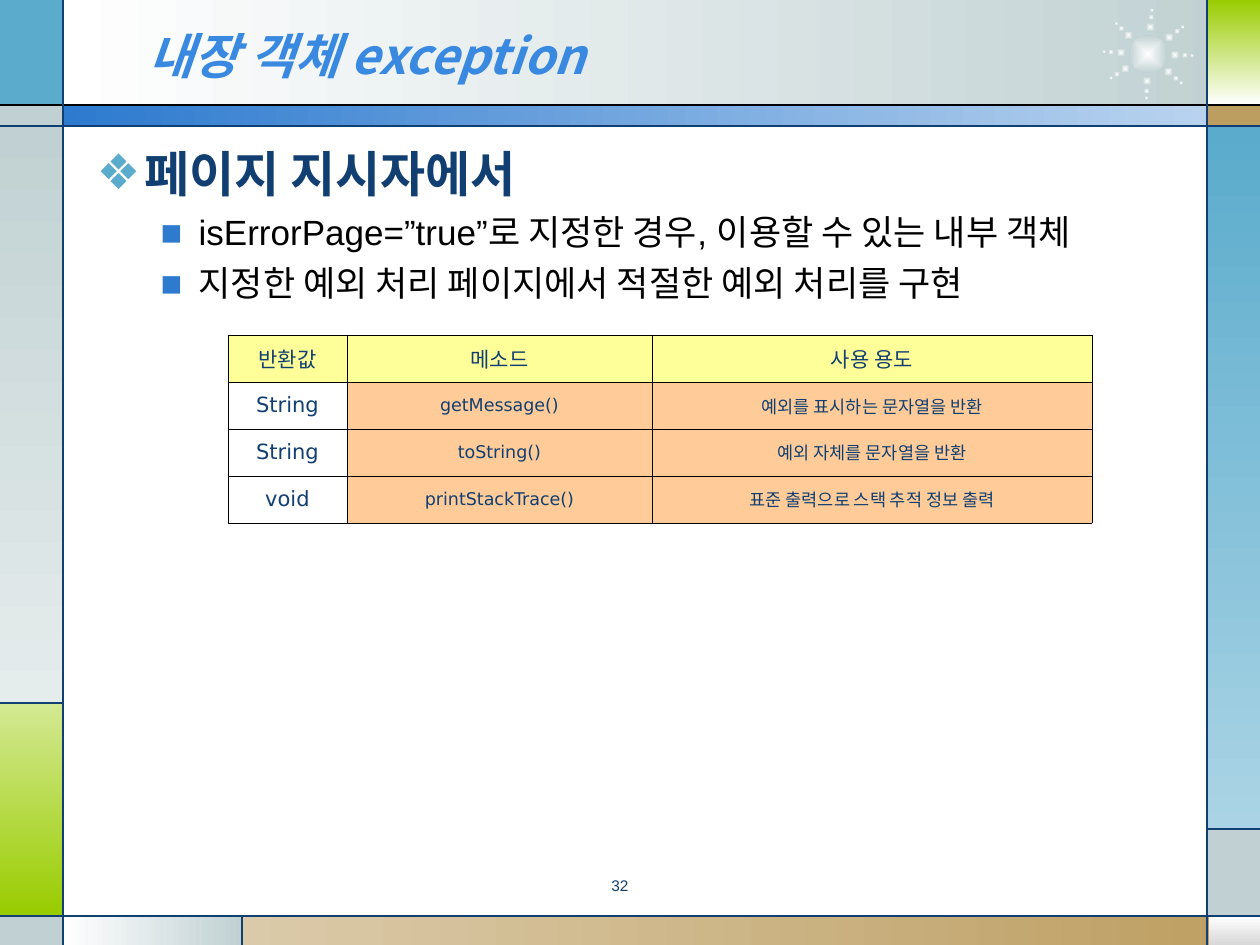
from math import cos, radians, sin

from lxml.etree import SubElement
from pptx import Presentation
from pptx.dml.color import RGBColor
from pptx.enum.shapes import MSO_CONNECTOR, MSO_SHAPE
from pptx.enum.text import MSO_ANCHOR, PP_ALIGN
from pptx.oxml.ns import qn
from pptx.util import Emu, Pt

KOREAN, LATIN, TABLE_FONT = "Noto Sans CJK KR", "Arial", "DejaVu Sans"
NAVY, GRAY, SKY, GREEN, TAN = "113F71", "C1D1D3", "5AABCC", "99CC00", "BD9E61"
WHITE, BLACK = "FFFFFF", "000000"
YELLOW, PEACH = "FFFF99", "FFCC99"
ACROSS, DOWN = 0, 270

TITLE = "내장 객체 exception"
TITLE_FONT = {"size": 28, "color": "3989E1", "name": KOREAN, "bold": True, "italic": True}
HEADING_FONT = {"size": 28, "color": NAVY, "name": KOREAN, "bold": True}
ITEM_FONT = {"size": 20, "color": BLACK, "name": LATIN, "bold": False}
HEADING = {"level": 0, "font": HEADING_FONT, "bullet": "❖", "bullet_color": SKY,
           "margin": 48, "hanging": 48}
ITEM = {"level": 1, "font": ITEM_FONT, "bullet": "▪", "bullet_color": "2D7ACF",
        "margin": 102, "hanging": 39}
BODY = [
    ("페이지 지시자에서", HEADING),
    ("isErrorPage=”true”로 지정한 경우, 이용할 수 있는 내부 객체", ITEM),
    ("지정한 예외 처리 페이지에서 적절한 예외 처리를 구현", ITEM),
]
PAGE_NUMBER = "32"
METHODS = [
    ("반환값", "메소드", "사용 용도"),
    ("String", "getMessage()", "예외를 표시하는 문자열을 반환"),
    ("String", "toString()", "예외 자체를 문자열을 반환"),
    ("void", "printStackTrace()", "표준 출력으로 스택 추적 정보 출력"),
]
COLUMN_WIDTHS = (119, 305, 440)
ROW_HEIGHT = 47

BANDS = [
    ((63, 0, 1168, 105), (WHITE, GRAY), ACROSS),
    ((0, 0, 63, 105), (SKY,), None),
    ((0, 105, 63, 21), (GRAY,), None),
    ((0, 126, 63, 577), (GRAY, "E5ECEC"), DOWN),
    ((0, 703, 63, 213), ("D4E993", GREEN), DOWN),
    ((0, 916, 63, 29), (GRAY,), None),
    ((63, 916, 179, 29), (WHITE, GRAY), ACROSS),
    ((242, 916, 1018, 29), ("DBCAA9", TAN), ACROSS),
    ((1209, 916, 51, 29), (WHITE, "D8D8D8"), DOWN),
    ((1208, 829, 52, 87), (GRAY,), None),
    ((1207, 126, 53, 703), (SKY, "AAD4E5"), DOWN),
    ((1207, 105, 53, 21), (TAN,), None),
    ((1208, 0, 52, 105), (GREEN, WHITE), DOWN),
    ((63, 105, 1145, 21), ("2D7ACF", "B9D3EF"), ACROSS),
]
RULES = [
    ((0, 105, 1260, 105), BLACK),
    ((0, 126, 1260, 126), NAVY),
    ((0, 916, 1260, 916), NAVY),
    ((63, 0, 63, 945), NAVY),
    ((1207, 0, 1207, 945), NAVY),
    ((63, 703, 0, 703), NAVY),
    ((242, 916, 242, 945), NAVY),
    ((1207, 829, 1260, 829), NAVY),
]
BURST_CENTER, BURST_CORE = (1148, 54), 38
RAY_ANGLES = (2, 41, 92, 147, 183, 224, 275, 322)
RAY_DOTS = ((37, 6), (44, 4), (27, 9))


def px(length):
    return Emu(round(length * 914400 / 126))


def color(value):
    return RGBColor.from_string(value)


def place(box, frame):
    for name, length in zip(("left", "top", "width", "height"), frame):
        setattr(box, name, px(length))


def add_band(page, kind, frame, colors, angle):
    band = page.shapes.add_shape(kind, *map(px, frame))
    band.shadow.inherit = False
    band.line.fill.background()
    if len(colors) == 1:
        band.fill.solid()
        band.fill.fore_color.rgb = color(colors[0])
        return band
    band.fill.gradient()
    band.fill.gradient_angle = angle
    for stop, value, position in zip(band.fill.gradient_stops, colors, (0, 1)):
        stop.color.rgb = color(value)
        stop.position = position
    return band


def add_glow(page, x, y, size):
    frame = (x - size / 2, y - size / 2, size, size)
    dot = add_band(page, MSO_SHAPE.OVAL, frame, (WHITE, GRAY), ACROSS)
    gradient = dot._element.spPr.find(qn("a:gradFill"))
    gradient.remove(gradient.find(qn("a:lin")))
    shade = SubElement(gradient, qn("a:path"), {"path": "rect"})
    SubElement(shade, qn("a:fillToRect"), dict.fromkeys("ltrb", "50000"))


def add_burst(page):
    x, y = BURST_CENTER
    add_glow(page, x, y, BURST_CORE)
    for angle in map(radians, RAY_ANGLES):
        for radius, size in RAY_DOTS:
            add_glow(page, x + radius * cos(angle), y + radius * sin(angle), size)


def add_rule(page, ends, value):
    rule = page.shapes.add_connector(MSO_CONNECTOR.STRAIGHT, *map(px, ends))
    rule.line.color.rgb = color(value)
    rule.line.width = Pt(0.75)
    SubElement(rule._element.spPr, qn("a:effectLst"))


def write(para, text, style):
    span = para.add_run()
    span.text = text
    for name, value in style.items():
        if name == "color":
            span.font.color.rgb = color(value)
        else:
            setattr(span.font, name, Pt(value) if name == "size" else value)
    SubElement(span._r.get_or_add_rPr(), qn("a:ea"), {"typeface": KOREAN})


def add_bullet(para, style):
    props = para._p.get_or_add_pPr()
    props.set("marL", str(px(style["margin"])))
    props.set("indent", str(-px(style["hanging"])))
    tint = SubElement(props, qn("a:buClr"))
    SubElement(tint, qn("a:srgbClr"), {"val": style["bullet_color"]})
    SubElement(props, qn("a:buFont"), {"typeface": TABLE_FONT})
    SubElement(props, qn("a:buChar"), {"char": style["bullet"]})


def fill_body(box):
    for index, (text, style) in enumerate(BODY):
        para = box.text_frame.paragraphs[0] if index == 0 else box.text_frame.add_paragraph()
        para.level = style["level"]
        add_bullet(para, style)
        para.space_before = Pt(5 if index else 0)
        write(para, text, style["font"])


def add_borders(cell):
    props = cell._tc.get_or_add_tcPr()
    for index, side in enumerate(("a:lnL", "a:lnR", "a:lnT", "a:lnB")):
        border = props.makeelement(qn(side), {"w": str(Pt(0.45))})
        SubElement(SubElement(border, qn("a:solidFill")), qn("a:srgbClr"), {"val": BLACK})
        props.insert(index, border)


def add_methods(page):
    size = (sum(COLUMN_WIDTHS), ROW_HEIGHT * len(METHODS))
    table = page.shapes.add_table(len(METHODS), len(COLUMN_WIDTHS), px(228), px(335),
                                  *map(px, size)).table
    table.first_row = table.horz_banding = False
    for column, width in zip(table.columns, COLUMN_WIDTHS):
        column.width = px(width)
    margins = {"margin_left": 9, "margin_right": 9, "margin_top": 6, "margin_bottom": 6}
    for row, texts in enumerate(METHODS):
        table.rows[row].height = px(ROW_HEIGHT)
        for column, text in enumerate(texts):
            cell = table.cell(row, column)
            cell.vertical_anchor = MSO_ANCHOR.MIDDLE
            for name, length in margins.items():
                setattr(cell, name, px(length))
            if row and not column:
                cell.fill.background()
            else:
                cell.fill.solid()
                cell.fill.fore_color.rgb = color(PEACH if row else YELLOW)
            add_borders(cell)
            para = cell.text_frame.paragraphs[0]
            para.alignment = PP_ALIGN.CENTER
            write(para, text, {"size": 10 if row and column else 12,
                               "color": NAVY, "name": TABLE_FONT})


def main():
    """Build the slide on the exception built-in object."""
    deck = Presentation()
    deck.slide_width, deck.slide_height = px(1260), px(945)
    page = deck.slides.add_slide(deck.slide_layouts[1])
    title, body = page.placeholders
    for band in BANDS:
        add_band(page, MSO_SHAPE.RECTANGLE, *band)
    add_burst(page)
    for rule in RULES:
        add_rule(page, *rule)

    place(title, (136, 16, 924, 78))
    place(body, (84, 137, 1105, 709))
    for box in (title, body):
        page.shapes._spTree.append(box._element)
    title.text_frame.vertical_anchor = MSO_ANCHOR.MIDDLE
    title.text_frame.paragraphs[0].alignment = PP_ALIGN.LEFT
    write(title.text_frame.paragraphs[0], TITLE, TITLE_FONT)
    fill_body(body)

    number = page.shapes.add_textbox(*map(px, (473, 873, 294, 34)))
    number.text_frame.word_wrap = True
    para = number.text_frame.paragraphs[0]
    para.alignment, para.line_spacing = PP_ALIGN.CENTER, 0.8
    write(para, PAGE_NUMBER, {"size": 8.8, "color": NAVY, "name": LATIN})
    add_methods(page)
    deck.save("out.pptx")


if __name__ == "__main__":
    main()
